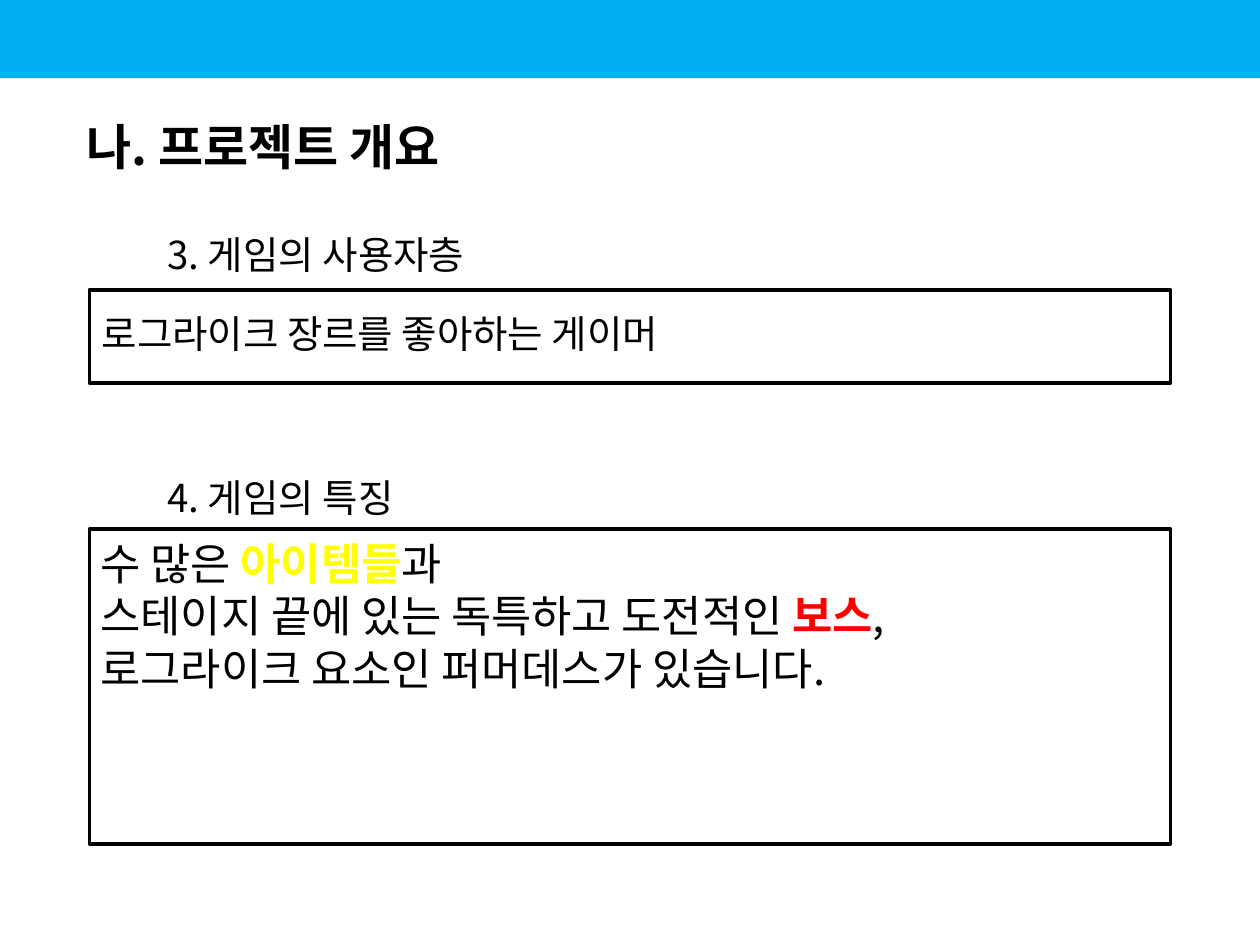
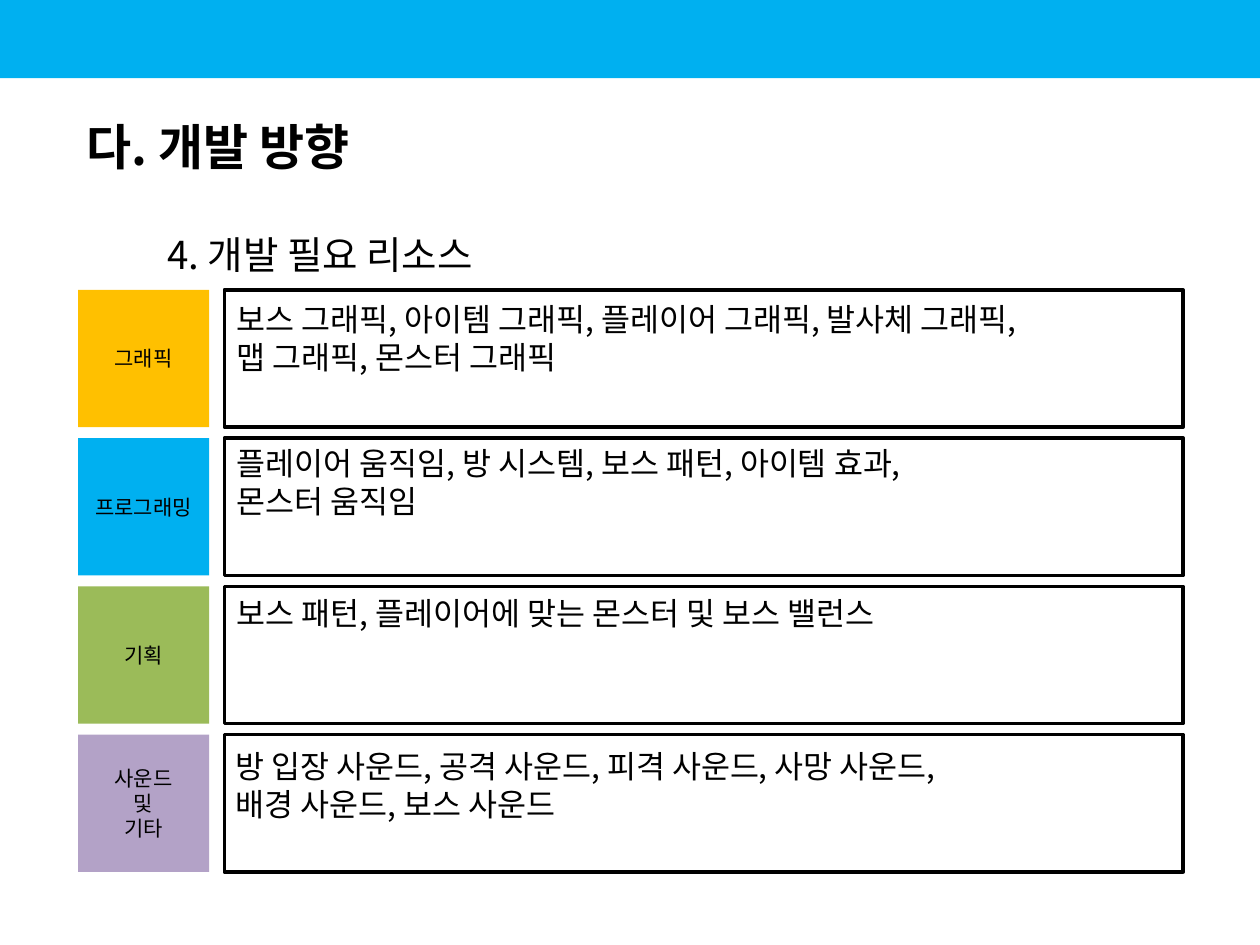
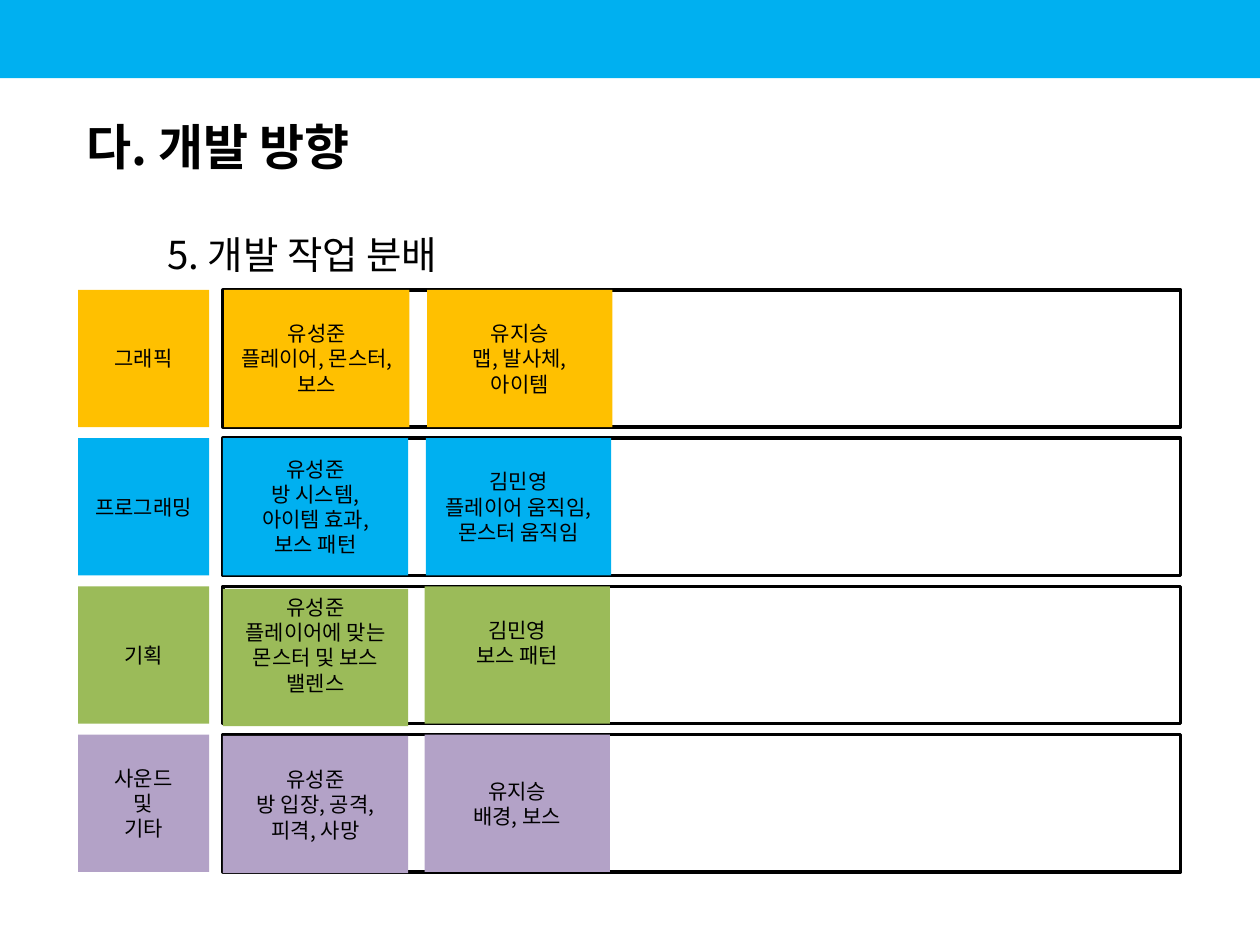
from dataclasses import dataclass

from lxml.etree import SubElement
from pptx import Presentation
from pptx.dml.color import RGBColor
from pptx.enum.shapes import MSO_SHAPE
from pptx.enum.text import MSO_ANCHOR, PP_ALIGN
from pptx.oxml.ns import qn
from pptx.util import Inches, Pt


@dataclass(frozen=True)
class Theme:
    font: str = "Noto Sans CJK KR"
    ink: str = "000000"
    sky: str = "00B0F0"
    amber: str = "FFC000"
    green: str = "9BBB59"
    violet: str = "B3A2C7"
    yellow: str = "FFFF00"
    red: str = "FF0000"
    title: int = 28
    heading: int = 22
    feature: int = 25
    body: int = 18
    label: int = 12
    border: int = 2


T = Theme()
ROW_TOP, ROW_BOTTOM, ROW_H = 2.3, 6.92, 1.09
LABEL_X, LABEL_W = 0.62, 1.04
PARTS = [
    (["그래픽"], T.amber),
    (["프로그래밍"], T.sky),
    (["기획"], T.green),
    (["사운드", "및", "기타"], T.violet),
]


def add_run(p, text, size, color=T.ink, bold=False):
    for i, line in enumerate(text.split("\n")):
        if i:
            p.add_line_break()
        r = p.add_run()
        r.text = line
        r.font.size = Pt(size)
        r.font.name = T.font
        r.font.bold = bold
        r.font.color.rgb = RGBColor.from_string(color)
        SubElement(r.font._element, qn("a:ea")).set("typeface", T.font)


def write(shape, paragraphs, size, bold=False, align=PP_ALIGN.LEFT,
          anchor=MSO_ANCHOR.TOP, spacing=None):
    tf = shape.text_frame
    tf.word_wrap = True
    tf.vertical_anchor = anchor
    for i, runs in enumerate(paragraphs):
        p = tf.add_paragraph() if i else tf.paragraphs[0]
        p.alignment = align
        if spacing:
            p.line_spacing = spacing
        if isinstance(runs, str):
            runs = [(runs, T.ink, bold)]
        for text, color, strong in runs:
            add_run(p, text, size, color, strong)
    return tf


def add_text(s, box, paragraphs, size, **style):
    tb = s.shapes.add_textbox(*map(Inches, box))
    return write(tb, paragraphs, size, **style)


def add_rect(s, box, fill=None, line=None):
    sp = s.shapes.add_shape(MSO_SHAPE.RECTANGLE, *map(Inches, box))
    sp.shadow.inherit = False
    if fill:
        sp.fill.solid()
        sp.fill.fore_color.rgb = RGBColor.from_string(fill)
    else:
        sp.fill.background()
    if line:
        sp.line.color.rgb = RGBColor.from_string(line)
        sp.line.width = Pt(T.border)
    else:
        sp.line.fill.background()
    return sp


def add_tile(s, box, fill, paragraphs):
    sp = add_rect(s, box, fill)
    return write(sp, paragraphs, T.label, align=PP_ALIGN.CENTER,
                 anchor=MSO_ANCHOR.MIDDLE)


def add_heading(s, top, text):
    add_text(s, (1.23, top, 8.01, 0.72), [text], T.heading, spacing=1.5)


def add_base(prs, title):
    s = prs.slides.add_slide(prs.slide_layouts[6])
    add_rect(s, (0, 0, 10, 0.62), T.sky)
    add_text(s, (0.59, 0.75, 9.41, 0.81), [title], T.title, bold=True,
             anchor=MSO_ANCHOR.MIDDLE)
    return s


def add_rows(s, left, width):
    pitch = (ROW_BOTTOM - ROW_TOP - ROW_H) / (len(PARTS) - 1)
    tops = [ROW_TOP + i * pitch for i in range(len(PARTS))]
    for top, (name, color) in zip(tops, PARTS):
        add_rect(s, (left, top, width, ROW_H), line=T.ink)
        add_tile(s, (LABEL_X, top, LABEL_W, ROW_H), color, name)
    return tops


def overview_slide(prs):
    s = add_base(prs, "나. 프로젝트 개요")
    left, width = 0.71, 8.58
    add_heading(s, 1.6, "3. 게임의 사용자층")
    add_rect(s, (left, 2.3, width, 0.74), line=T.ink)
    add_text(s, (left, 2.41, width, 0.47),
             ["로그라이크 장르를 좋아하는 게이머"], T.heading)
    add_heading(s, 3.53, "4. 게임의 특징")
    add_rect(s, (left, 4.2, width, 2.5), line=T.ink)
    add_text(s, (left - 0.01, 4.21, width, 1.36), [
        [("수 많은 ", T.ink, False), ("아이템들", T.yellow, True),
         ("과", T.ink, False)],
        [("스테이지 끝에 있는 독특하고 도전적인 ", T.ink, False),
         ("보스", T.red, True),
         (",\n로그라이크 요소인 퍼머데스가 있습니다.", T.ink, False)],
    ], T.feature)


def resource_slide(prs):
    s = add_base(prs, "다. 개발 방향")
    add_heading(s, 1.6, "4. 개발 필요 리소스")
    left, width = 1.78, 7.61
    needs = [
        (0, 0.03, ["보스 그래픽, 아이템 그래픽, 플레이어 그래픽, 발사체 그래픽,",
                   "맵 그래픽, 몬스터 그래픽"]),
        (0, 0, ["플레이어 움직임, 방 시스템, 보스 패턴, 아이템 효과,",
                "몬스터 움직임"]),
        (0, 0.01, ["보스 패턴, 플레이어에 맞는 몬스터 및 보스 밸런스"]),
        (-0.01, 0.05, ["방 입장 사운드, 공격 사운드, 피격 사운드, 사망 사운드,\n"
                       "배경 사운드, 보스 사운드"]),
    ]
    for top, (dx, dy, lines) in zip(add_rows(s, left, width), needs):
        add_text(s, (left + dx, top + dy, width, 0.71), lines, T.body)


def assignment_slide(prs):
    s = add_base(prs, "다. 개발 방향")
    add_heading(s, 1.6, "5. 개발 작업 분배")
    tops = add_rows(s, 1.77, 7.6)
    card_w, raised = 1.47, 0.25
    columns = [
        [(1.78, 0, 0.05, ["유성준\n플레이어, 몬스터,", "보스"]),
         (1.77, 0, 0.05, ["유성준\n방 시스템,", "아이템 효과,\n보스 패턴"]),
         (1.77, 0.02, raised, ["유성준\n플레이어에 맞는 몬스터 및 보스 밸렌스"]),
         (1.77, 0.01, 0.05, ["유성준\n방 입장, 공격, 피격, 사망"])],
        [(3.39, 0, 0.05, ["유지승\n맵, 발사체,", "아이템"]),
         (3.38, 0, 0.05, ["김민영", "플레이어 움직임, 몬스터 움직임"]),
         (3.37, 0, raised, ["김민영\n보스 패턴"]),
         (3.37, 0, 0.05, ["유지승\n배경, 보스"])],
    ]
    for cards in columns:
        for top, (_, color), (x, dy, inset, lines) in zip(tops, PARTS, cards):
            tf = add_tile(s, (x, top + dy, card_w, ROW_H), color, lines)
            tf.margin_bottom = Inches(inset)


def main():
    prs = Presentation()
    prs.slide_width, prs.slide_height = Inches(10), Inches(7.5)
    overview_slide(prs)
    resource_slide(prs)
    assignment_slide(prs)
    prs.save("out.pptx")


if __name__ == "__main__":
    main()
